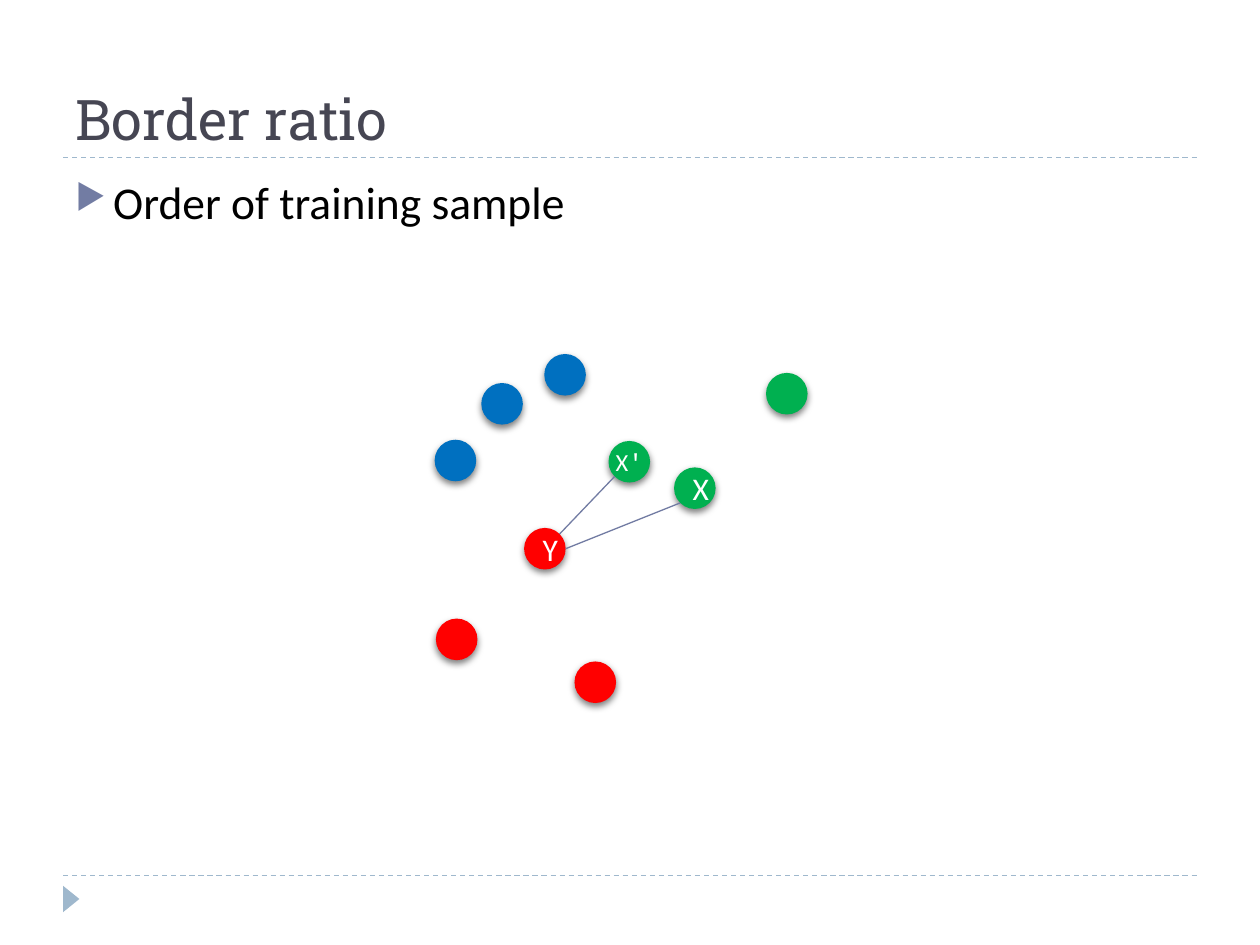
from math import cos, radians, sin

from lxml import etree
from pptx import Presentation
from pptx.dml.color import RGBColor
from pptx.enum.dml import MSO_LINE
from pptx.enum.shapes import MSO_CONNECTOR, MSO_SHAPE
from pptx.enum.text import MSO_ANCHOR, PP_ALIGN
from pptx.oxml import parse_xml
from pptx.oxml.ns import nsdecls, qn
from pptx.util import Inches, Pt

STRAIGHT = MSO_CONNECTOR.STRAIGHT
DASH = MSO_LINE.DASH
OVAL, TRIANGLE = MSO_SHAPE.OVAL, MSO_SHAPE.ISOSCELES_TRIANGLE
TOP, MIDDLE, BOTTOM = MSO_ANCHOR.TOP, MSO_ANCHOR.MIDDLE, MSO_ANCHOR.BOTTOM
CENTER = PP_ALIGN.CENTER

WHITE = RGBColor(0xFF, 0xFF, 0xFF)
BLACK = RGBColor(0x00, 0x00, 0x00)
SLATE = RGBColor(0x46, 0x46, 0x53)
INDIGO = RGBColor(0x72, 0x7C, 0xA3)
MIST = RGBColor(0x9F, 0xB8, 0xCD)
RED = RGBColor(0xFF, 0x00, 0x00)
GREEN = RGBColor(0x00, 0xB0, 0x50)
BLUE = RGBColor(0x00, 0x70, 0xC0)

COLUMNS, ROWS = 100, 75
DIAMETER = 3.3


class SlideBuilder:
    """Draws styled elements on one slide, placed on a grid of columns and rows."""

    heading_font, body_font, code_font = "Roboto Slab", "Calibri", "Courier New"

    def __init__(self, deck):
        self.slide = deck.slides.add_slide(deck.slide_layouts[6])
        self.column = deck.slide_width / COLUMNS
        self.row = deck.slide_height / ROWS

    def place(self, *lengths):
        units = (self.column, self.row) * 2
        return [round(length * unit) for length, unit in zip(lengths, units)]

    def add_span(self, para, text, size, color, font):
        span = para.add_run()
        span.text = text
        span.font.size = Pt(size)
        span.font.name = font
        span.font.color.rgb = color

    def text_box(self, area, anchor, text, size, color, font):
        box = self.slide.shapes.add_textbox(*self.place(*area))
        box.text_frame.word_wrap = True
        box.text_frame.vertical_anchor = anchor
        para = box.text_frame.paragraphs[0]
        self.add_span(para, text, size, color, font)
        return para

    def bullet_box(self, area, text, size):
        para = self.text_box(area, TOP, text, size, BLACK, self.body_font)
        properties = para._p.get_or_add_pPr()
        properties.set("marL", str(Inches(0.3)))
        properties.set("indent", str(Inches(-0.3)))
        bullet_color = etree.SubElement(properties, qn("a:buClr"))
        etree.SubElement(bullet_color, qn("a:srgbClr"), val=str(INDIGO))
        etree.SubElement(properties, qn("a:buSzPct"), val="76000")
        etree.SubElement(properties, qn("a:buChar"), char="▶")

    def line(self, start, end, color, dash=None):
        line = self.slide.shapes.add_connector(
            STRAIGHT, *self.place(*start), *self.place(*end))
        line.line.color.rgb = color
        line.line.width = Pt(0.75)
        if dash:
            line.line.dash_style = dash
        etree.SubElement(line._element.spPr, qn("a:effectLst"))

    def shape(self, kind, area, fill):
        shape = self.slide.shapes.add_shape(kind, *self.place(*area))
        shape.fill.solid()
        shape.fill.fore_color.rgb = fill
        shape.line.fill.background()
        shape.shadow.inherit = False
        return shape

    def sample(self, left, top, fill, spans=(), wrap=True):
        dot = self.shape(OVAL, (left, top, DIAMETER, DIAMETER), fill)
        effects = dot._element.spPr.find(qn("a:effectLst"))
        effects.append(parse_xml(
            f'<a:outerShdw {nsdecls("a")} blurRad="{Pt(4)}" dist="{Pt(2)}" '
            'dir="5400000" rotWithShape="0"><a:srgbClr val="000000">'
            '<a:alpha val="50000"/></a:srgbClr></a:outerShdw>'))
        frame = dot.text_frame
        frame.word_wrap = wrap
        frame.vertical_anchor = MIDDLE
        para = frame.paragraphs[0]
        para.alignment = CENTER
        for text, size, font in spans:
            self.add_span(para, text, size, WHITE, font)


def rim(corner, degrees):
    radius, angle = DIAMETER / 2, radians(degrees)
    left, top = corner
    return left + radius * (1 + cos(angle)), top + radius * (1 + sin(angle))


def main():
    deck = Presentation()
    deck.slide_width, deck.slide_height = Inches(10), Inches(7.5)
    page = SlideBuilder(deck)

    for height in (69.5, 12.5):
        page.line((5, height), (95, height), MIST, DASH)
    marker = page.shape(TRIANGLE, (4.6, 70.7, 2.1, 1.3), MIST)
    marker.rotation = 90

    page.text_box((5, 1.7, 90, 10.8), BOTTOM, "Border ratio", 32, SLATE,
                  page.heading_font)
    page.bullet_box((5, 13.3, 90, 54), "Order of training sample", 26)

    point_x, point_x_prime, point_y = (53.5, 37.1), (48.3, 35), (41.6, 41.9)
    body = page.body_font
    page.sample(*point_x, GREEN, [("X", 18, body)])
    page.sample(*point_x_prime, GREEN,
                [("X", 14, body), ("'", 14, page.code_font)], wrap=False)
    page.sample(*point_y, RED, [("Y", 18, body)])
    unlabelled = {
        GREEN: [(60.8, 29.6)],
        RED: [(34.6, 49.1), (45.6, 52.5)],
        BLUE: [(34.5, 34.9), (43.2, 28.1), (38.2, 30.4)],
    }
    for fill, corners in unlabelled.items():
        for corner in corners:
            page.sample(*corner, fill)

    page.line(rim(point_y, -45), rim(point_x_prime, 135), INDIGO)
    page.line(rim(point_y, 0), rim(point_x, 135), INDIGO)

    deck.save("out.pptx")


if __name__ == "__main__":
    main()
